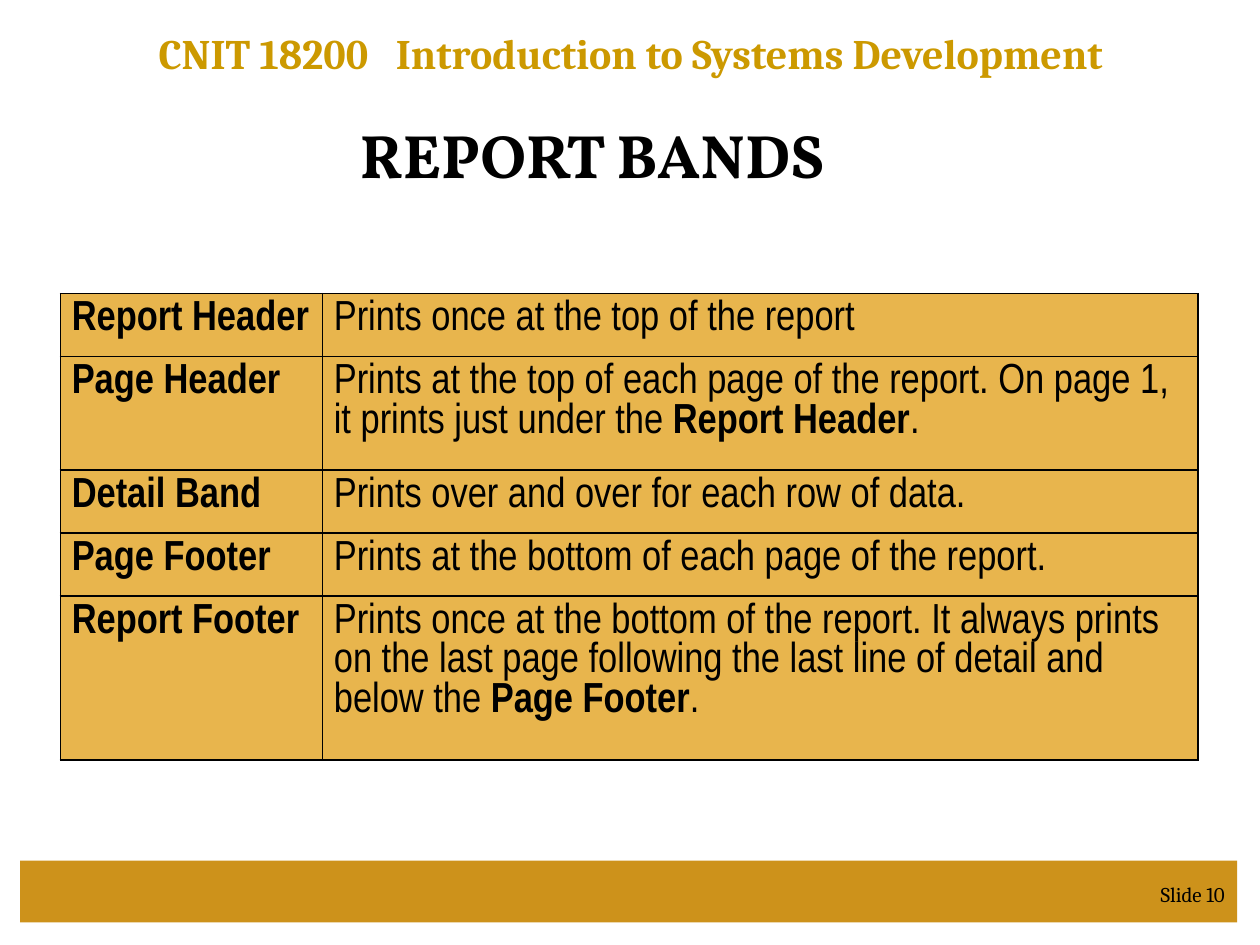
from typing import NamedTuple

from lxml import etree
from pptx import Presentation
from pptx.dml.color import RGBColor
from pptx.enum.shapes import MSO_SHAPE
from pptx.enum.text import MSO_ANCHOR, PP_ALIGN
from pptx.oxml.ns import qn
from pptx.util import Inches, Pt

RECT, ROUND = MSO_SHAPE.RECTANGLE, MSO_SHAPE.ROUNDED_RECTANGLE
TOP, MIDDLE = MSO_ANCHOR.TOP, MSO_ANCHOR.MIDDLE
CENTER, RIGHT = PP_ALIGN.CENTER, PP_ALIGN.RIGHT
COLORS = {"white": "FFFFFF", "black": "000000", "bar": "CD921B",
          "course": "CC9900", "cell": "E8B54D"}


class Box(NamedTuple):
    left: float
    top: float
    width: float
    height: float


class Label(NamedTuple):
    text: str
    box: Box
    size: int
    font: str
    color: str
    bold: bool
    align: PP_ALIGN
    anchor: MSO_ANCHOR


class Band(NamedTuple):
    name: str
    height: float
    prints: str
    other: str = ""  # band named in bold at the end of the text


LABELS = [
    Label("Slide 10", Box(8.65, 6.95, 1.17, 0.33), 12, "Cambria",
          "black", False, RIGHT, TOP),
    Label("CNIT 18200   Introduction to Systems Development",
          Box(0.17, 0.17, 9.67, 0.51), 24, "Cambria",
          "course", True, CENTER, TOP),
    Label("REPORT BANDS", Box(0, 0.7, 9.4, 1.05), 35, "Vollkorn",
          "black", True, CENTER, MIDDLE),
]
BANDS = [
    Band("Report Header", 0.5, "Prints once at the top of the report"),
    Band("Page Header", 0.9, "Prints at the top of each page of the report. "
         "On page 1, it prints just under the ", "Report Header"),
    Band("Detail Band", 0.5, "Prints over and over for each row of data."),
    Band("Page Footer", 0.5,
         "Prints at the bottom of each page of the report."),
    Band("Report Footer", 1.3, "Prints once at the bottom of the report. "
         "It always prints on the last page following the last line of "
         "detail and below the ", "Page Footer"),
]
WIDTHS = (2.08, 6.95)


def rgb(name: str) -> RGBColor:
    return RGBColor.from_string(COLORS[name])


def place(box: Box) -> list:
    return [Inches(side) for side in box]


def add_panel(slide, kind: MSO_SHAPE, box: Box, color: str):
    panel = slide.shapes.add_shape(kind, *place(box))
    panel.shadow.inherit = False
    panel.fill.solid()
    panel.fill.fore_color.rgb = rgb(color)
    panel.line.fill.background()
    return panel


def style(para, size: int, font: str, color: str) -> None:
    para.font.size = Pt(size)
    para.font.name = font
    para.font.color.rgb = rgb(color)


def add_label(slide, label: Label) -> None:
    frame = slide.shapes.add_textbox(*place(label.box)).text_frame
    frame.word_wrap = True
    frame.vertical_anchor = label.anchor
    para = frame.paragraphs[0]
    para.text = label.text
    para.alignment = label.align
    style(para, label.size, label.font, label.color)
    para.font.bold = label.bold


def add_edges(cell) -> None:
    props = cell._tc.get_or_add_tcPr()
    for spot, side in enumerate(("a:lnL", "a:lnR", "a:lnT", "a:lnB")):
        edge = etree.Element(qn(side), w=str(Pt(1)))
        fill = etree.SubElement(edge, qn("a:solidFill"))
        etree.SubElement(fill, qn("a:srgbClr"), val=COLORS["black"])
        props.insert(spot, edge)


def fill_cell(cell, parts: list[tuple[str, bool]]) -> None:
    cell.fill.solid()
    cell.fill.fore_color.rgb = rgb("cell")
    cell.margin_left = cell.margin_right = Inches(0.09)
    cell.margin_top = cell.margin_bottom = Inches(0.05)
    para = cell.text_frame.paragraphs[0]
    style(para, 24, "Arial Narrow", "black")
    for text, bold in parts:
        run = para.add_run()
        run.text = text
        run.font.bold = bold
    add_edges(cell)


def add_bands(slide, bands: list[Band]) -> None:
    box = Box(0.48, 2.33, sum(WIDTHS), sum(band.height for band in bands))
    table = slide.shapes.add_table(len(bands), 2, *place(box)).table
    table.first_row = table.horz_banding = False
    for col, width in zip(table.columns, WIDTHS):
        col.width = Inches(width)
    for row, band in zip(table.rows, bands):
        row.height = Inches(band.height)
        parts = [(band.prints, False)]
        if band.other:
            parts += [(band.other, True), (".", False)]
        fill_cell(row.cells[0], [(band.name, True)])
        fill_cell(row.cells[1], parts)


def main() -> None:
    deck = Presentation()
    deck.slide_width, deck.slide_height = Inches(10), Inches(7.5)
    slide = deck.slides.add_slide(deck.slide_layouts[6])

    # Backdrop and footer bar
    page = add_panel(slide, ROUND, Box(0.1, 0.11, 9.8, 7.29), "white")
    page.adjustments[0] = 0.02
    add_panel(slide, RECT, Box(0.16, 6.83, 9.66, 0.49), "bar")

    # Slide number, course name and title
    for label in LABELS:
        add_label(slide, label)

    # Table of report bands
    add_bands(slide, BANDS)
    deck.save("out.pptx")


if __name__ == "__main__":
    main()
